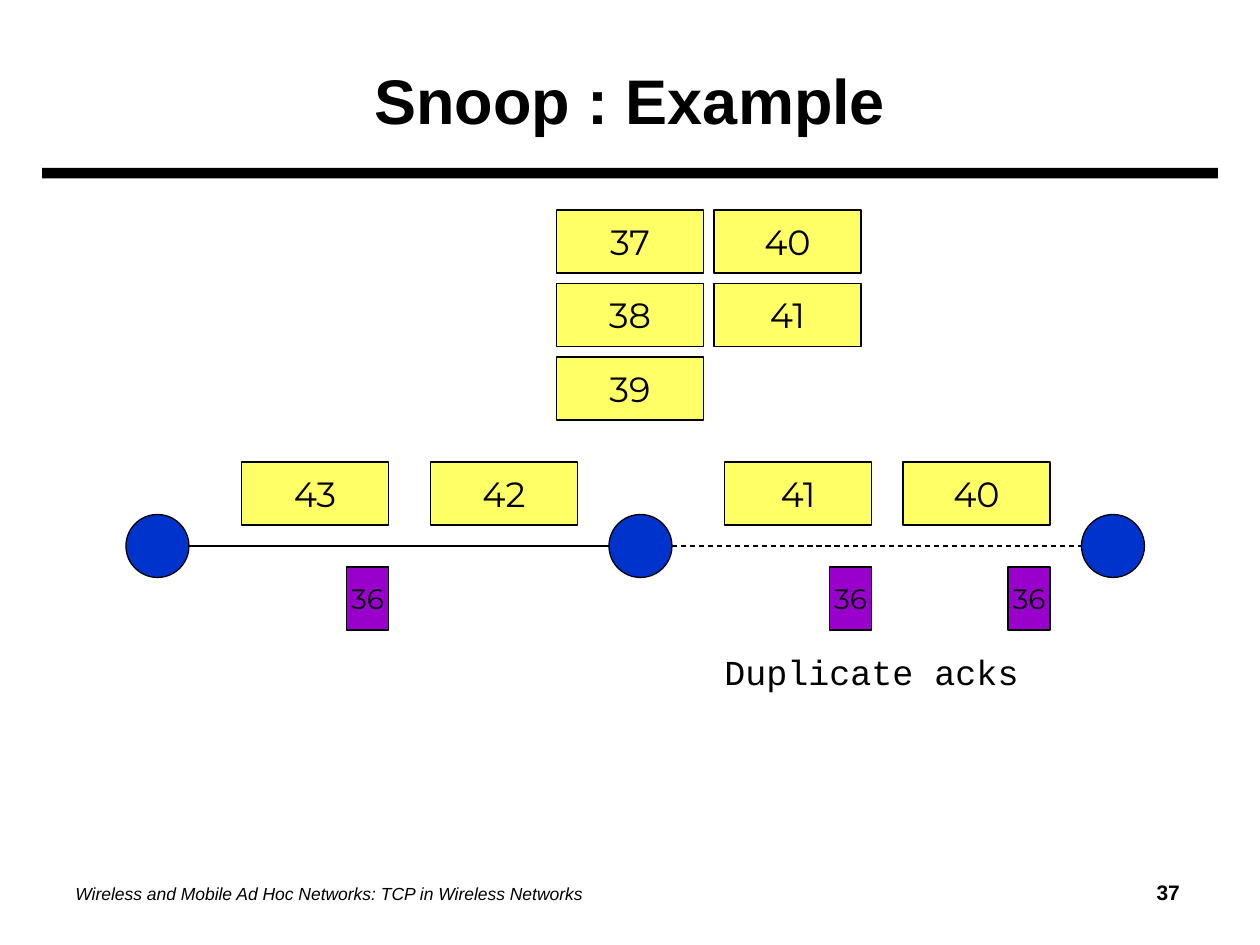
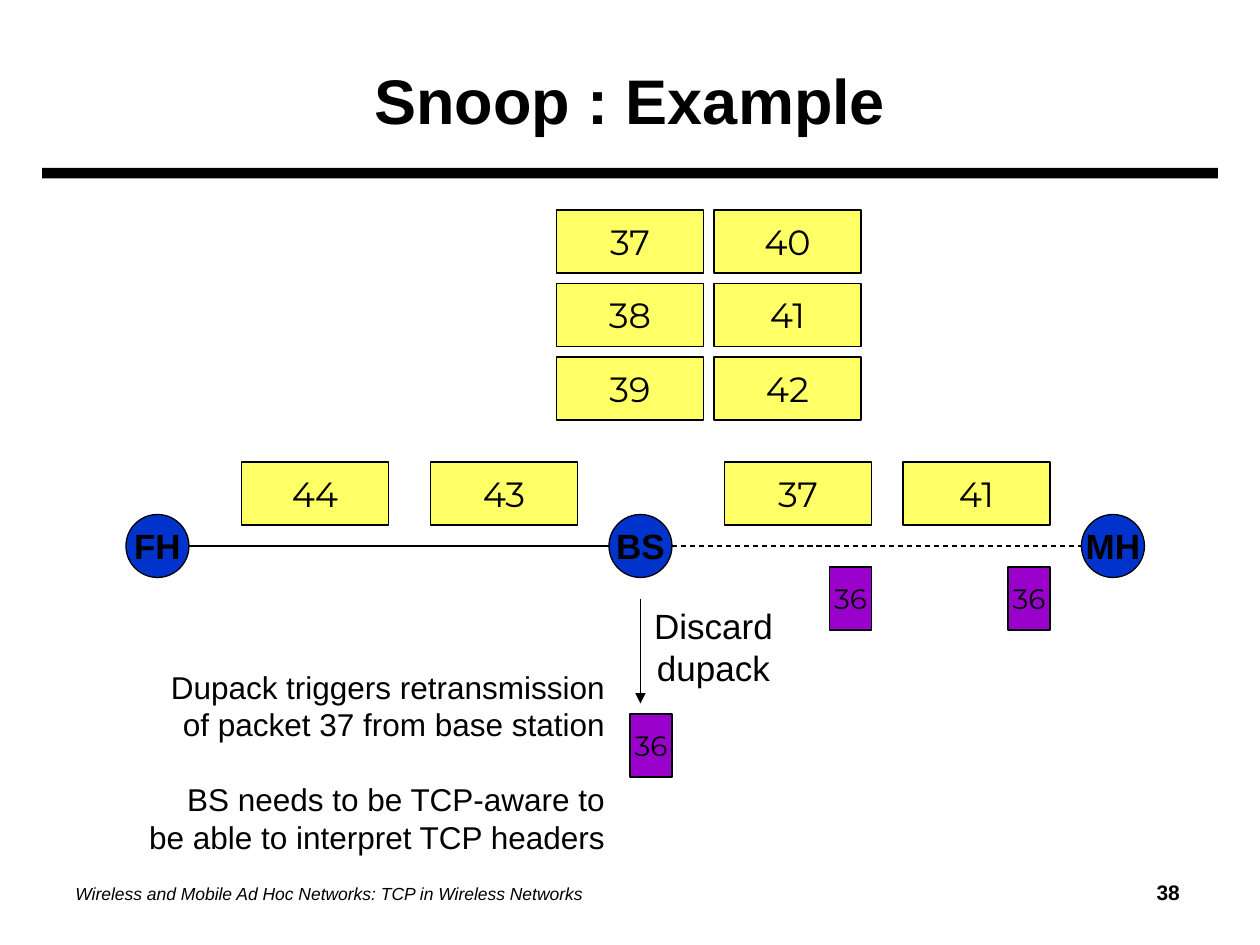
from lxml.etree import SubElement
from pptx import Presentation
from pptx.dml.color import RGBColor
from pptx.enum.dml import MSO_LINE
from pptx.enum.shapes import MSO_CONNECTOR, MSO_SHAPE
from pptx.enum.text import MSO_ANCHOR, PP_ALIGN, MSO_AUTO_SIZE as AUTO_SIZE
from pptx.oxml.ns import qn
from pptx.util import Emu, Pt

# Content
TITLE = "Snoop : Example"
FOOTER = "Wireless and Mobile Ad Hoc Networks: TCP in Wireless Networks"
SLIDES = [
    {
        "number": 37,
        "cache": [["37", "38", "39"], ["40", "41"]],
        "packets": ["43", "42", "41", "40"],
        "acks": {0: "36", 2: "36", 3: "36"},  # slot: acknowledged packet
        "hosts": ["", "", ""],
        "notes": [
            {"text": ["Duplicate acks"], "box": (678, 614, 305, 53),
             "font": "Courier New"},
        ],
    },
    {
        "number": 38,
        "cache": [["37", "38", "39"], ["40", "41", "42"]],
        "packets": ["44", "43", "37", "41"],
        "acks": {2: "36", 3: "36"},
        "hosts": ["FH", "BS", "MH"],
        "discarded": "36",
        "notes": [
            {"text": ["Discard", "dupack"], "box": (611, 570, 137, 92),
             "align": PP_ALIGN.CENTER, "anchor": MSO_ANCHOR.MIDDLE},
            {"text": ["Dupack triggers retransmission",
                      "of packet 37 from base station",
                      "BS needs to be TCP-aware to",
                      "be able to interpret TCP headers"],
             "box": (130, 630, 458, 192), "size": 18,
             "align": PP_ALIGN.RIGHT, "gaps": {2: 21}},
        ],
    },
]

# Shared look and geometry, in px (120 to the inch)
BLACK, HOST_BLUE, PACKET_YELLOW, ACK_PURPLE = "000000", "0033CC", "FFFF66", "9900CC"
SLIDE_W, SLIDE_H = 1200, 900
PACKET_W, ACK_W, ROW_H, CACHE_GAP = 140, 40, 60, 10
CACHE_X, CACHE_Y = 530, 200
SLOT_X = [230, 410, 690, 860]
PACKET_Y, ACK_Y = 440, 540
HOST_X, HOST_Y, HOST_D = [120, 580, 1030], 490, 60
DISCARD_X, DISCARD_Y = 600, 680
DISCARD_ARROW = (610, 570, 610, 670)


def px(*lengths):
    return [Emu(length * 7620) for length in lengths]


def rgb(hex_colour):
    return RGBColor.from_string(hex_colour)


def write(frame, text, size=20, font="Arial", bold=False, italic=False,
          align=PP_ALIGN.LEFT, anchor=MSO_ANCHOR.TOP, wrap=False,
          gaps=None, inline=False):
    """Write one line or a list of lines; inline continues the last paragraph."""
    frame.word_wrap, frame.vertical_anchor = wrap, anchor
    frame.auto_size = AUTO_SIZE.NONE
    for index, line in enumerate([text] if isinstance(text, str) else text):
        paragraph = frame.paragraphs[-1]
        if index and not inline:
            paragraph = frame.add_paragraph()
        paragraph.alignment = align
        if gaps and index in gaps:
            paragraph.space_before = Pt(gaps[index])
        run = paragraph.add_run()
        run.text = line
        run.font.name, run.font.size = font, Pt(size)
        run.font.bold, run.font.italic = bold, italic
        run.font.color.rgb = rgb(BLACK)


def add_box(slide, box, fill, label="", kind=MSO_SHAPE.RECTANGLE,
            outlined=True, **text_format):
    shape = slide.shapes.add_shape(kind, *px(*box))
    shape.shadow.inherit = False
    shape.fill.solid()
    shape.fill.fore_color.rgb = rgb(fill)
    if outlined:
        shape.line.color.rgb = rgb(BLACK)
        shape.line.width = Pt(0.75)
    else:
        shape.line.fill.background()
    if label:
        write(shape.text_frame, label, align=PP_ALIGN.CENTER,
              anchor=MSO_ANCHOR.MIDDLE, **text_format)
    return shape


def add_packet(slide, x, y, label):
    add_box(slide, (x, y, PACKET_W, ROW_H), PACKET_YELLOW, label, font="Montserrat")


def add_ack(slide, x, y, label):
    add_box(slide, (x, y, ACK_W, ROW_H), ACK_PURPLE, label, font="Montserrat", size=16)


def add_link(slide, ends, dashed=False, arrow=False):
    link = slide.shapes.add_connector(MSO_CONNECTOR.STRAIGHT, *px(*ends))
    link.line.color.rgb = rgb(BLACK)
    link.line.width = Pt(0.75)
    if dashed:
        link.line.dash_style = MSO_LINE.DASH
    if arrow:
        SubElement(link.line._get_or_add_ln(), qn("a:tailEnd"), type="triangle")
    SubElement(link.element.spPr, qn("a:effectLst"))


def add_footer(slide, number):
    footer = slide.shapes.add_textbox(*px(60, 820, 1080, 60)).text_frame
    middle = {"anchor": MSO_ANCHOR.MIDDLE, "wrap": True}
    write(footer, FOOTER, size=10, italic=True, **middle)
    write(footer, f"\t{number}", size=12, bold=True, inline=True, **middle)
    tabs = SubElement(footer.paragraphs[0]._p.get_or_add_pPr(), qn("a:tabLst"))
    SubElement(tabs, qn("a:tab"), pos=str(px(1052)[0]), algn="r")


def add_network(slide, content):
    # Packets cached at the base station
    for column, cached in enumerate(content["cache"]):
        for row, label in enumerate(cached):
            add_packet(slide, CACHE_X + column * (PACKET_W + CACHE_GAP),
                       CACHE_Y + row * (ROW_H + CACHE_GAP), label)

    # Hosts, with a wired and a wireless link
    for x, label in zip(HOST_X, content["hosts"]):
        add_box(slide, (x, HOST_Y, HOST_D, HOST_D), HOST_BLUE, label,
                kind=MSO_SHAPE.OVAL, bold=True)
    link_y = HOST_Y + HOST_D // 2
    for start, end, wireless in zip(HOST_X, HOST_X[1:], (False, True)):
        add_link(slide, (start + HOST_D, link_y, end, link_y), dashed=wireless)

    # Packets in flight, with acks flush right below them
    for x, label in zip(SLOT_X, content["packets"]):
        add_packet(slide, x, PACKET_Y, label)
    for slot, label in content["acks"].items():
        add_ack(slide, SLOT_X[slot] + PACKET_W - ACK_W, ACK_Y, label)

    # Discarded ack
    if "discarded" in content:
        add_link(slide, DISCARD_ARROW, arrow=True)
        add_ack(slide, DISCARD_X, DISCARD_Y, content["discarded"])


def main():
    prs = Presentation()
    prs.slide_width, prs.slide_height = px(SLIDE_W, SLIDE_H)
    layout = prs.slide_layouts[5]
    heading = layout.placeholders[0]
    heading.left, heading.top, heading.width, heading.height = px(60, 30, 1080, 130)

    for content in SLIDES:
        slide = prs.slides.add_slide(layout)
        write(slide.shapes.title.text_frame, TITLE, size=36, bold=True, wrap=True,
              align=PP_ALIGN.CENTER, anchor=MSO_ANCHOR.MIDDLE)
        add_footer(slide, content["number"])
        add_network(slide, content)
        for note in content["notes"]:
            text_format = {key: note[key] for key in note if key not in ("text", "box")}
            area = slide.shapes.add_textbox(*px(*note["box"]))
            write(area.text_frame, note["text"], **text_format)

    # The band under the title belongs to the layout
    band = add_box(prs.slides[0], (40, 160, 1120, 10), BLACK, outlined=False)
    layout.shapes.element.append(band.element)

    prs.save("out.pptx")


if __name__ == "__main__":
    main()
